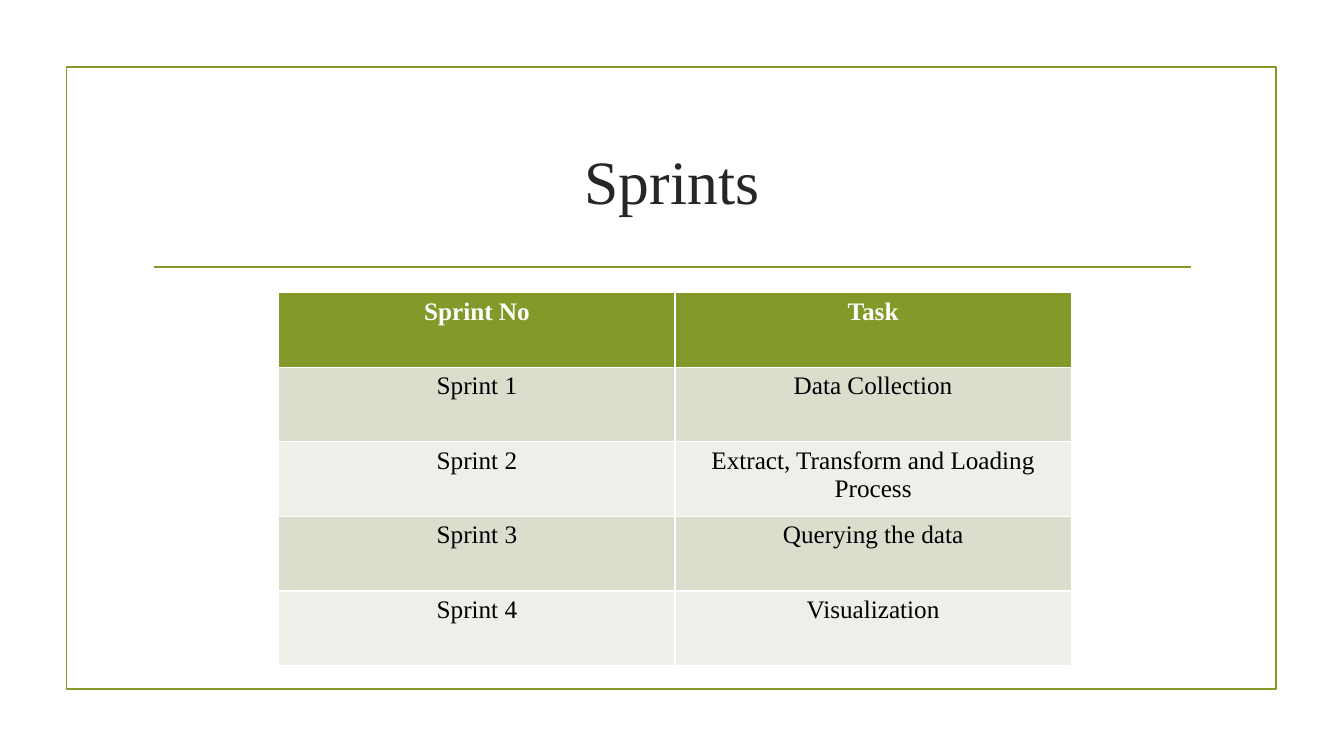
from lxml.etree import SubElement
from pptx import Presentation
from pptx.dml.color import RGBColor
from pptx.enum.shapes import MSO_CONNECTOR, MSO_SHAPE
from pptx.enum.text import MSO_ANCHOR, PP_ALIGN
from pptx.oxml.ns import qn
from pptx.util import Pt

COLORS = {
    "green": "83992A",
    "title": "262626",
    "header_text": "FFFFFF",
    "body_text": "000000",
    "odd_row": "D9DECD",
    "even_row": "EDEFE8",
}
FONT = "Times New Roman"
SPRINTS = [
    ("Sprint No", "Task"),
    ("Sprint 1", "Data Collection"),
    ("Sprint 2", "Extract, Transform and Loading Process"),
    ("Sprint 3", "Querying the data"),
    ("Sprint 4", "Visualization"),
]


def color(name):
    return RGBColor.from_string(COLORS[name])


def write(text_frame, text, color_name, **formats):
    para = text_frame.paragraphs[0]
    para.alignment = PP_ALIGN.CENTER
    span = para.add_run()
    span.text = text
    span.font.color.rgb = color(color_name)
    for name, value in {"name": FONT, **formats}.items():
        setattr(span.font, name, value)


def style_line(line):
    line.color.rgb = color("green")
    line.width = Pt(1.25)


def add_frame(page, left, top, width, height):
    frame = page.shapes.add_shape(
        MSO_SHAPE.RECTANGLE, Pt(left), Pt(top), Pt(width), Pt(height))
    frame.shadow.inherit = False
    frame.fill.background()
    style_line(frame.line)


def add_rule(page, left, right, top):
    rule = page.shapes.add_connector(
        MSO_CONNECTOR.STRAIGHT, Pt(left), Pt(top), Pt(right), Pt(top))
    style_line(rule.line)
    SubElement(rule._element.spPr, qn("a:effectLst"))


def place_title(page, text, left, top, width, height):
    title = page.shapes.title
    box = {"left": left, "top": top, "width": width, "height": height}
    for name, value in box.items():
        setattr(title, name, Pt(value))
    title.text_frame.vertical_anchor = MSO_ANCHOR.MIDDLE
    write(title.text_frame, text, "title", size=Pt(44))


def add_sprint_table(page, rows, left, top, width, height):
    table = page.shapes.add_table(
        len(rows), len(rows[0]), Pt(left), Pt(top), Pt(width), Pt(height)).table
    for row_index, row in enumerate(rows):
        header = row_index == 0
        banding = "odd_row" if row_index % 2 else "even_row"
        for column_index, text in enumerate(row):
            cell = table.cell(row_index, column_index)
            cell.fill.solid()
            cell.fill.fore_color.rgb = color("green" if header else banding)
            write(cell.text_frame, text,
                  "header_text" if header else "body_text",
                  size=Pt(18), bold=header)


def main():
    deck = Presentation()
    deck.slide_width, deck.slide_height = Pt(960), Pt(540)
    page = deck.slides.add_slide(deck.slide_layouts[5])
    add_frame(page, 47.5, 48, 864, 444)
    add_rule(page, 110, 850.5, 190.8)
    place_title(page, "Sprints", 102, 77, 756, 103)
    add_sprint_table(page, SPRINTS, 199.2, 209, 566, 266.5)
    deck.save("out.pptx")


if __name__ == "__main__":
    main()
